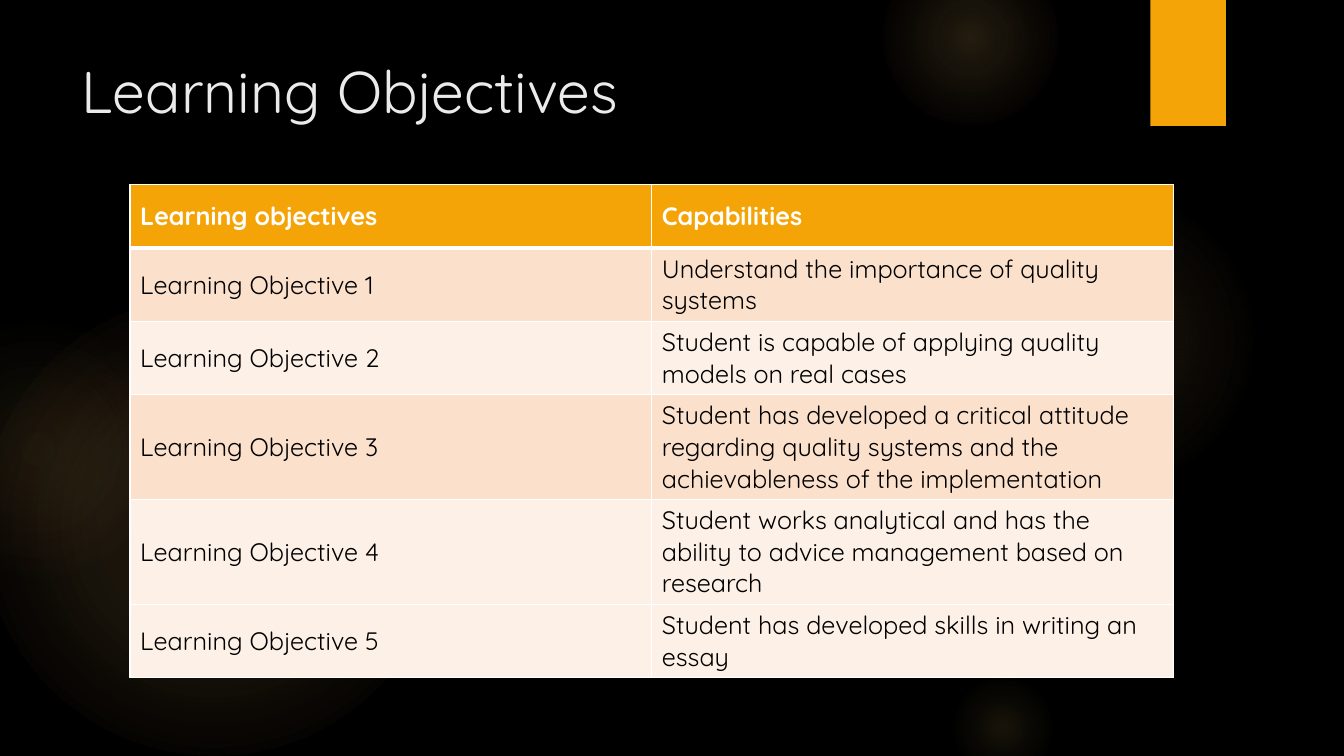
from lxml import etree
from pptx import Presentation
from pptx.dml.color import RGBColor
from pptx.enum.shapes import MSO_SHAPE
from pptx.enum.text import MSO_ANCHOR, PP_ALIGN
from pptx.oxml import parse_xml
from pptx.oxml.ns import nsdecls, qn
from pptx.util import Inches, Pt

OVAL, RECT = MSO_SHAPE.OVAL, MSO_SHAPE.RECTANGLE
TOP, MIDDLE, LEFT = MSO_ANCHOR.TOP, MSO_ANCHOR.MIDDLE, PP_ALIGN.LEFT

FONT = "Quicksand"
BLACK = RGBColor(0x00, 0x00, 0x00)
WHITE = RGBColor(0xFF, 0xFF, 0xFF)
OFF_WHITE = RGBColor(0xEB, 0xEB, 0xEB)
ORANGE = RGBColor(0xF5, 0xA4, 0x08)
GOLD = RGBColor(0xFA, 0xC9, 0x6A)
CORAL = RGBColor(0xF5, 0x9B, 0x74)
PEACH = RGBColor(0xFB, 0xE0, 0xCC)
CREAM = RGBColor(0xFD, 0xF0, 0xE7)

# left, top, diameter, then (position %, colour, opacity %) stops
GLOWS = [
    (-0.17, 2.92, 4.58, [(0, GOLD, 11), (36, GOLD, 10), (75, GOLD, 0)]),
    (-0.92, 3.17, 2.58, [(0, GOLD, 8), (36, GOLD, 5), (71, CORAL, 0)]),
    (9.41, 1.83, 3.08, [(0, GOLD, 7), (36, GOLD, 6), (69, GOLD, 0)]),
    (8.75, -0.5, 1.75, [(0, GOLD, 14), (36, GOLD, 7), (73, GOLD, 0)]),
    (9.41, 6.67, 1.08, [(0, GOLD, 10), (31, GOLD, 5), (66, GOLD, 0)]),
]

CAPABILITIES = [
    ("Understand the importance of quality systems", PEACH),
    ("Student is capable of applying quality models on real cases", CREAM),
    ("Student has developed a critical attitude regarding quality systems "
     "and the achievableness of the implementation", PEACH),
    ("Student works analytical and has the ability to advice management "
     "based on research", CREAM),
    ("Student has developed skills in writing an essay", CREAM),
]


def add_text(tf, text, size, color, bold=False):
    """Add one formatted run to the first paragraph of a text frame."""
    p = tf.paragraphs[0]
    p.alignment = LEFT
    r = p.add_run()
    r.text = text
    r.font.name, r.font.size, r.font.bold = FONT, Pt(size), bold
    r.font.color.rgb = color


def add_plain_shape(s, kind, box):
    """Add a preset shape without line or shadow."""
    sp = s.shapes.add_shape(kind, *map(Inches, box))
    sp.shadow.inherit = False
    sp.line.fill.background()
    return sp


def add_glow(s, box, stops):
    """Add a circle that fades out from its centre."""
    sp = add_plain_shape(s, OVAL, box)
    gs = "".join(
        f'<a:gs pos="{pos * 1000}"><a:srgbClr val="{color}">'
        f'<a:alpha val="{alpha * 1000}"/></a:srgbClr></a:gs>'
        for pos, color, alpha in stops)
    sp.fill.background()
    old = sp.element.spPr.find(qn("a:noFill"))
    old.getparent().replace(old, parse_xml(
        f'<a:gradFill {nsdecls("a")} rotWithShape="1"><a:gsLst>{gs}</a:gsLst>'
        '<a:path path="circle"><a:fillToRect l="50000" t="50000" r="50000" '
        'b="50000"/></a:path></a:gradFill>'))


def add_tab(s, box):
    """Add the orange tab with its soft shadow at the top edge."""
    sp = add_plain_shape(s, RECT, box)
    sp.fill.solid()
    sp.fill.fore_color.rgb = ORANGE
    effects = sp.element.spPr.find(qn("a:effectLst"))
    effects.append(parse_xml(
        f'<a:outerShdw {nsdecls("a")} blurRad="{Pt(3)}" dist="{Pt(2)}" '
        f'dir="5400000" rotWithShape="0"><a:srgbClr val="{BLACK}">'
        '<a:alpha val="45000"/></a:srgbClr></a:outerShdw>'))


def add_title(s, box, text):
    """Place the title placeholder above the background shapes."""
    title = s.shapes.title
    title.left, title.top, title.width, title.height = map(Inches, box)
    title.element.getparent().append(title.element)
    tf = title.text_frame
    tf.word_wrap, tf.vertical_anchor = True, TOP
    add_text(tf, text, 42, OFF_WHITE)


def set_borders(cell, top, bottom):
    """Draw white borders, given the top and bottom widths in points."""
    tc_pr = cell._tc.get_or_add_tcPr()
    for side, width in zip("LRTB", (1, 1, top, bottom)):
        ln = etree.SubElement(tc_pr, qn(f"a:ln{side}"), w=str(Pt(width)))
        fill = etree.SubElement(ln, qn("a:solidFill"))
        etree.SubElement(fill, qn("a:srgbClr"), val=str(WHITE))


def add_objectives_table(s, box):
    """Add the table of objectives and capabilities."""
    rows = [("Learning objectives", "Capabilities", ORANGE)]
    rows += [(f"Learning Objective {n}", text, color)
             for n, (text, color) in enumerate(CAPABILITIES, 1)]
    table = s.shapes.add_table(len(rows), 2, *map(Inches, box)).table
    for i, (*texts, color) in enumerate(rows):
        table.rows[i].height = Inches(0.63)
        header = i == 0
        for j, text in enumerate(texts):
            cell = table.cell(i, j)
            set_borders(cell, 3 if i == 1 else 1, 3 if header else 1)
            cell.fill.solid()
            cell.fill.fore_color.rgb = color
            cell.vertical_anchor = MIDDLE
            add_text(cell.text_frame, text, 18, WHITE if header else BLACK, header)


def build_objectives_slide(prs):
    """Build the slide of learning objectives."""
    s = prs.slides.add_slide(prs.slide_layouts[5])
    s.background.fill.solid()
    s.background.fill.fore_color.rgb = BLACK
    for left, top, size, stops in GLOWS:
        add_glow(s, (left, top, size, size), stops)
    add_tab(s, (11.41, 0, 0.75, 1.25))
    add_title(s, (0.71, 0.49, 10.28, 1.53), "Learning Objectives")
    add_objectives_table(s, (1.29, 1.83, 10.35, 3.78))


prs = Presentation()
prs.slide_width, prs.slide_height = Inches(13.33), Inches(7.5)
build_objectives_slide(prs)
prs.save("out.pptx")
